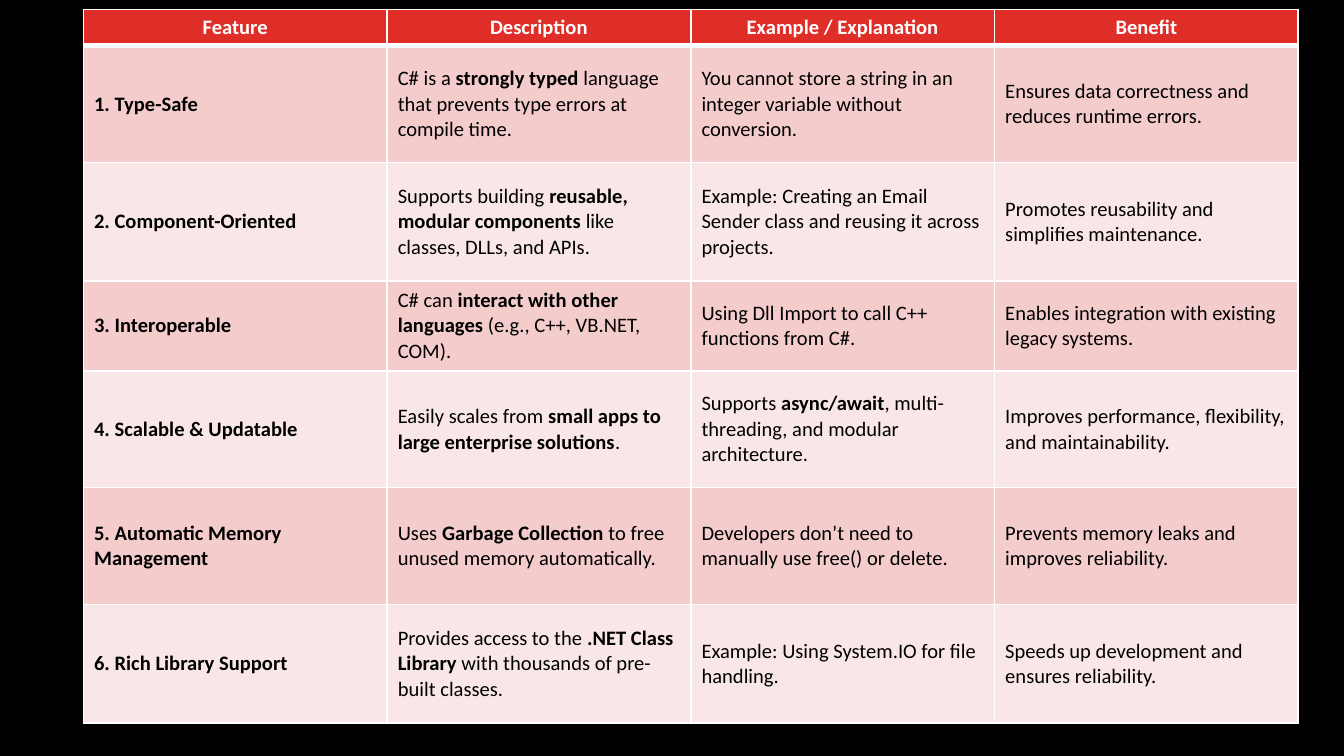
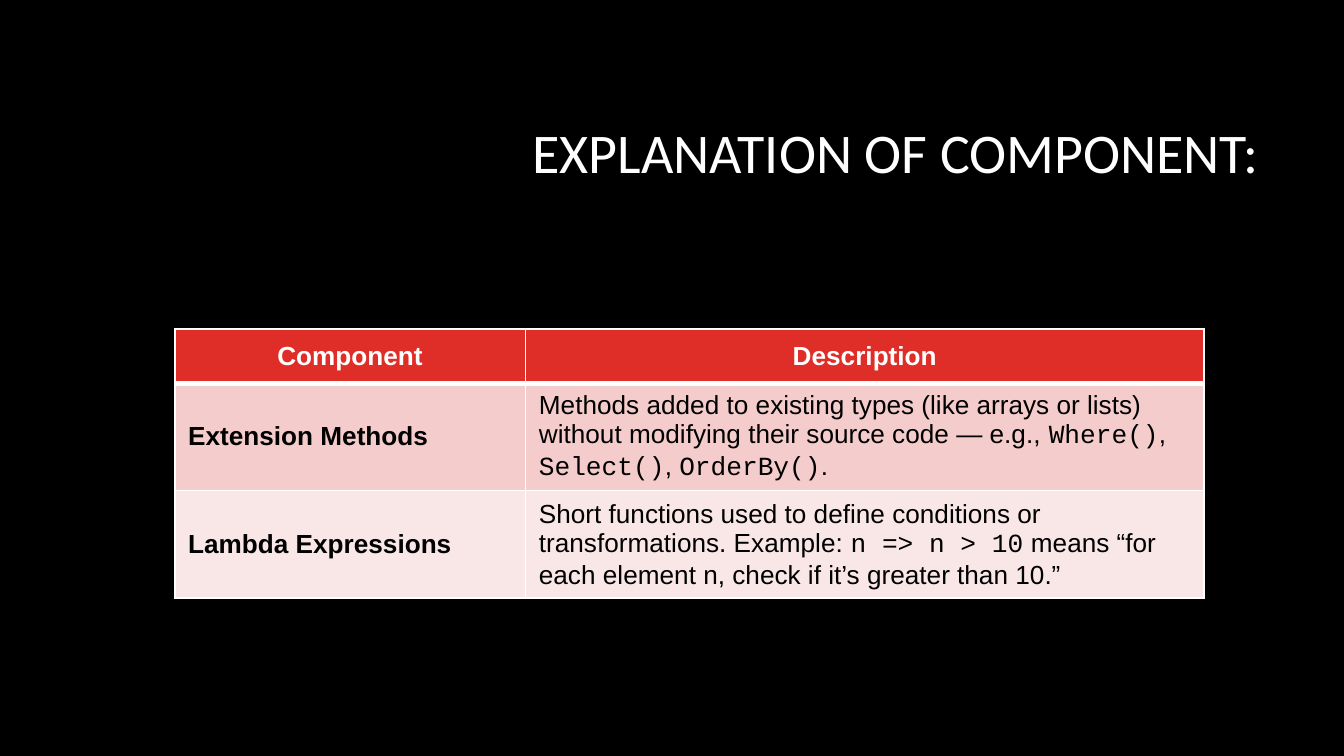
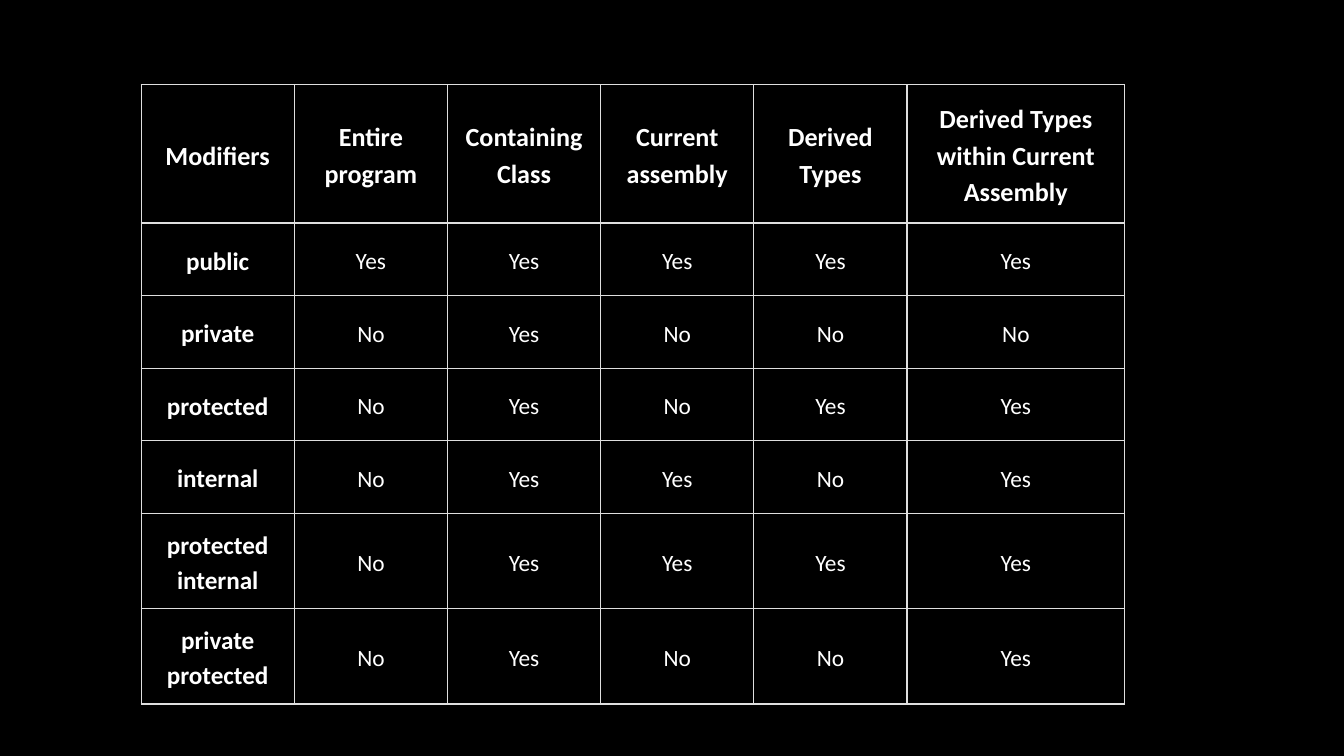
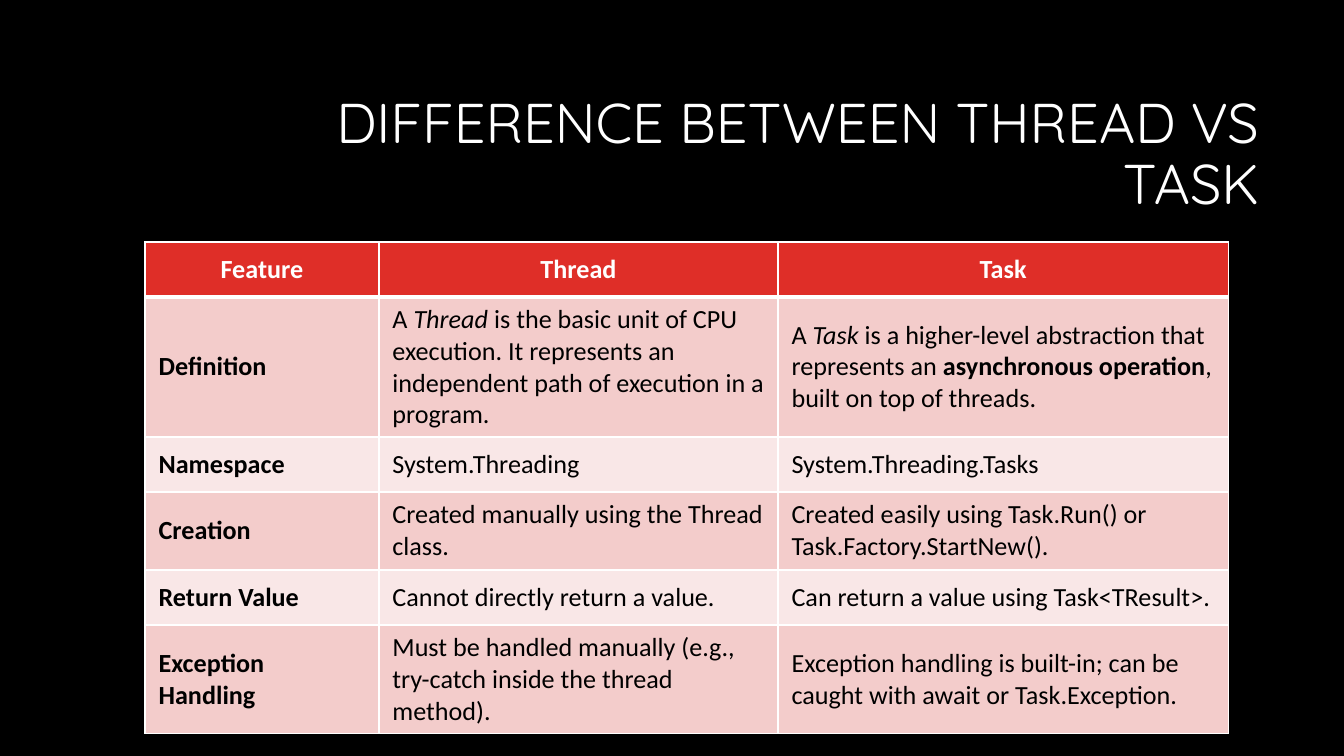
import pptx
import pptx.util
import pptx.dml.color
import pptx.enum.text
import pptx.oxml
import pptx.oxml.ns

Inches, Pt = pptx.util.Inches, pptx.util.Pt
ALIGN = pptx.enum.text.PP_ALIGN
MIDDLE = pptx.enum.text.MSO_ANCHOR.MIDDLE

# Shared look
BLACK, WHITE, GRAY = "000000", "FFFFFF", "DFDFDF"
RED, BANDS = "DF2E28", ("F3CCCB", "F9E7E7")
TITLE_BOX = (2.38, 0.63, 7.06, 1.06)

# Inline marks: *bold*, _italic_, `code`
MARKS = {"*": {"bold": True}, "_": {"italic": True}, "`": {"name": "Courier New"}}

# Content
TRAITS = [
    ("Feature", "Description", "Example / Explanation", "Benefit"),
    ("1. Type-Safe",
     "C# is a *strongly typed* language that prevents type errors at compile time.",
     "You cannot store a string in an integer variable without conversion.",
     "Ensures data correctness and reduces runtime errors."),
    ("2. Component-Oriented",
     "Supports building *reusable, modular components* like classes, DLLs, and APIs.",
     "Example: Creating an Email Sender class and reusing it across projects.",
     "Promotes reusability and simplifies maintenance."),
    ("3. Interoperable",
     "C# can *interact with other languages* (e.g., C++, VB.NET, COM).",
     "Using Dll Import to call C++ functions from C#.",
     "Enables integration with existing legacy systems."),
    ("4. Scalable & Updatable",
     "Easily scales from *small apps to large enterprise solutions*.",
     "Supports *async/await*, multi-threading, and modular architecture.",
     "Improves performance, flexibility, and maintainability."),
    ("5. Automatic Memory Management",
     "Uses *Garbage Collection* to free unused memory automatically.",
     "Developers don’t need to manually use free() or delete.",
     "Prevents memory leaks and improves reliability."),
    ("6. Rich Library Support",
     "Provides access to the *.NET Class Library* with thousands of pre-built classes.",
     "Example: Using System.IO for file handling.",
     "Speeds up development and ensures reliability."),
]

PARTS = [
    ("Component", "Description"),
    ("Extension Methods",
     "Methods added to existing types (like arrays or lists) without modifying "
     "their source code — e.g., `Where()`, `Select()`, `OrderBy()`."),
    ("Lambda Expressions",
     "Short functions used to define conditions or transformations. Example: "
     "`n => n > 10` means “for each element n, check if it’s greater than 10.”"),
]

ACCESS = [
    ("Modifiers", "Entire program", "Containing Class", "Current assembly",
     "Derived Types", "Derived Types within Current Assembly"),
    ("public", "Yes", "Yes", "Yes", "Yes", "Yes"),
    ("private", "No", "Yes", "No", "No", "No"),
    ("protected", "No", "Yes", "No", "Yes", "Yes"),
    ("internal", "No", "Yes", "Yes", "No", "Yes"),
    ("protected internal", "No", "Yes", "Yes", "Yes", "Yes"),
    ("private protected", "No", "Yes", "No", "No", "Yes"),
]

THREADS = [
    ("Feature", "Thread", "Task"),
    ("Definition",
     "A _Thread_ is the basic unit of CPU execution. It represents an "
     "independent path of execution in a program.",
     "A _Task_ is a higher-level abstraction that represents an "
     "*asynchronous operation*, built on top of threads."),
    ("Namespace", "System.Threading", "System.Threading.Tasks"),
    ("Creation", "Created manually using the Thread class.",
     "Created easily using Task.Run() or Task.Factory.StartNew()."),
    ("Return Value", "Cannot directly return a value.",
     "Can return a value using Task<TResult>."),
    ("Exception Handling",
     "Must be handled manually (e.g., try-catch inside the thread method).",
     "Exception handling is built-in; can be caught with await or Task.Exception."),
]


def rgb(code):
    return pptx.dml.color.RGBColor.from_string(code)


def split(text):
    """Yield (piece, format) pairs, switching format at each mark."""
    piece, look = "", {}
    for char in text:
        if char in MARKS:
            if piece:
                yield piece, look
            piece, look = "", {} if look else MARKS[char]
        else:
            piece += char
    if piece:
        yield piece, look


def write(frame, text, size=14, font="Calibri", color=WHITE, bold=False,
          align=ALIGN.LEFT, line=None, after=None):
    frame.word_wrap = True
    para = frame.paragraphs[0]
    para.alignment = align
    if line:
        para.line_spacing = line
    if after:
        para.space_after = Pt(after)
    for piece, look in split(text):
        run = para.add_run()
        run.text = piece
        run.font.size = Pt(size)
        run.font.color.rgb = rgb(color)
        for key, value in {"name": font, "bold": bold, **look}.items():
            setattr(run.font, key, value)


def pad(box, side, top):
    box.margin_left = box.margin_right = Inches(side)
    box.margin_top = box.margin_bottom = Inches(top)


def edge(cell, side, width, color):
    """Draw one border; side is L, R, T or B."""
    cell._tc.get_or_add_tcPr().append(pptx.oxml.parse_xml(
        f'<a:ln{side} {pptx.oxml.ns.nsdecls("a")} w="{Pt(width)}"><a:solidFill>'
        f'<a:srgbClr val="{color}"/></a:solidFill></a:ln{side}>'))


def add_slide(deck, title=None, font="Calibri"):
    slide = deck.slides.add_slide(deck.slide_layouts[6])
    slide.background.fill.solid()
    slide.background.fill.fore_color.rgb = rgb(BLACK)
    if title:
        frame = slide.shapes.add_textbox(*map(Inches, TITLE_BOX)).text_frame
        frame.vertical_anchor = MIDDLE
        pad(frame, 0.07, 0.04)
        write(frame, title, size=30, font=font, align=ALIGN.RIGHT, line=0.9)
    return slide


def add_grid(slide, data, left, top, cols, rows):
    """Add an empty table and yield each cell with its row, column and text."""
    table = slide.shapes.add_table(
        len(rows), len(cols), Inches(left), Inches(top),
        Inches(sum(cols)), Inches(sum(rows))).table
    table.horz_banding = False
    for col, width in zip(table.columns, cols):
        col.width = Inches(width)
    for row, height in zip(table.rows, rows):
        row.height = Inches(height)
    for r, line in enumerate(data):
        for c, text in enumerate(line):
            cell = table.cell(r, c)
            cell.vertical_anchor = MIDDLE
            yield cell, r, c, text


def red_table(slide, data, left, top, cols, rows, size=14, font="Calibri",
              pads=(0.1, 0.05)):
    for cell, r, c, text in add_grid(slide, data, left, top, cols, rows):
        head = r == 0
        pad(cell, *pads)
        for side in "LRTB":
            thick = (r, side) in ((0, "B"), (1, "T"))
            edge(cell, side, 3 if thick else 1, WHITE)
        cell.fill.solid()
        cell.fill.fore_color.rgb = rgb(RED if head else BANDS[(r - 1) % 2])
        write(cell.text_frame, text, size=size, font=font, bold=head or c == 0,
              color=WHITE if head else BLACK,
              align=ALIGN.CENTER if head else ALIGN.LEFT)


def line_table(slide, data, left, top, cols, rows):
    for cell, r, c, text in add_grid(slide, data, left, top, cols, rows):
        head, first = r == 0, c == 0
        pad(cell, 0.04 if first else 0.1,
            0.1 if head else 0.09 if first else 0.15)
        for side in "LRTB":
            edge(cell, side, 0.75, GRAY)
        cell.fill.background()
        write(cell.text_frame, text, size=14 if head else 13.5 if first else 12.5,
              bold=head or first, align=ALIGN.CENTER, line=1.15, after=8)


def main():
    deck = pptx.Presentation()
    deck.slide_width = Inches(10)
    deck.slide_height = deck.slide_width * 9 // 16

    # Language features
    red_table(add_slide(deck), TRAITS, 0.62, 0.07, [2.26] * 4,
              [0.27, 0.87, 0.88, 0.67, 0.87, 0.87, 0.88], size=11,
              pads=(0.08, 0.04))

    # Query components
    red_table(add_slide(deck, "EXPLANATION OF COMPONENT:"), PARTS, 1.3, 2.45,
              [2.61, 5.05], [0.4, 0.78, 0.78], font="Arial")

    # Access modifiers
    line_table(add_slide(deck), ACCESS, 1.05, 0.63, [1.14] * 5 + [1.62],
               [1.03] + [0.53] * 4 + [0.71] * 2)

    # Thread and task
    red_table(add_slide(deck, "DIFFERENCE BETWEEN THREAD VS TASK", "Quicksand"),
              THREADS, 1.08, 1.8, [1.74, 2.97, 3.35],
              [0.41, 1.04, 0.41, 0.58, 0.41, 0.81])

    deck.save("out.pptx")


if __name__ == "__main__":
    main()
